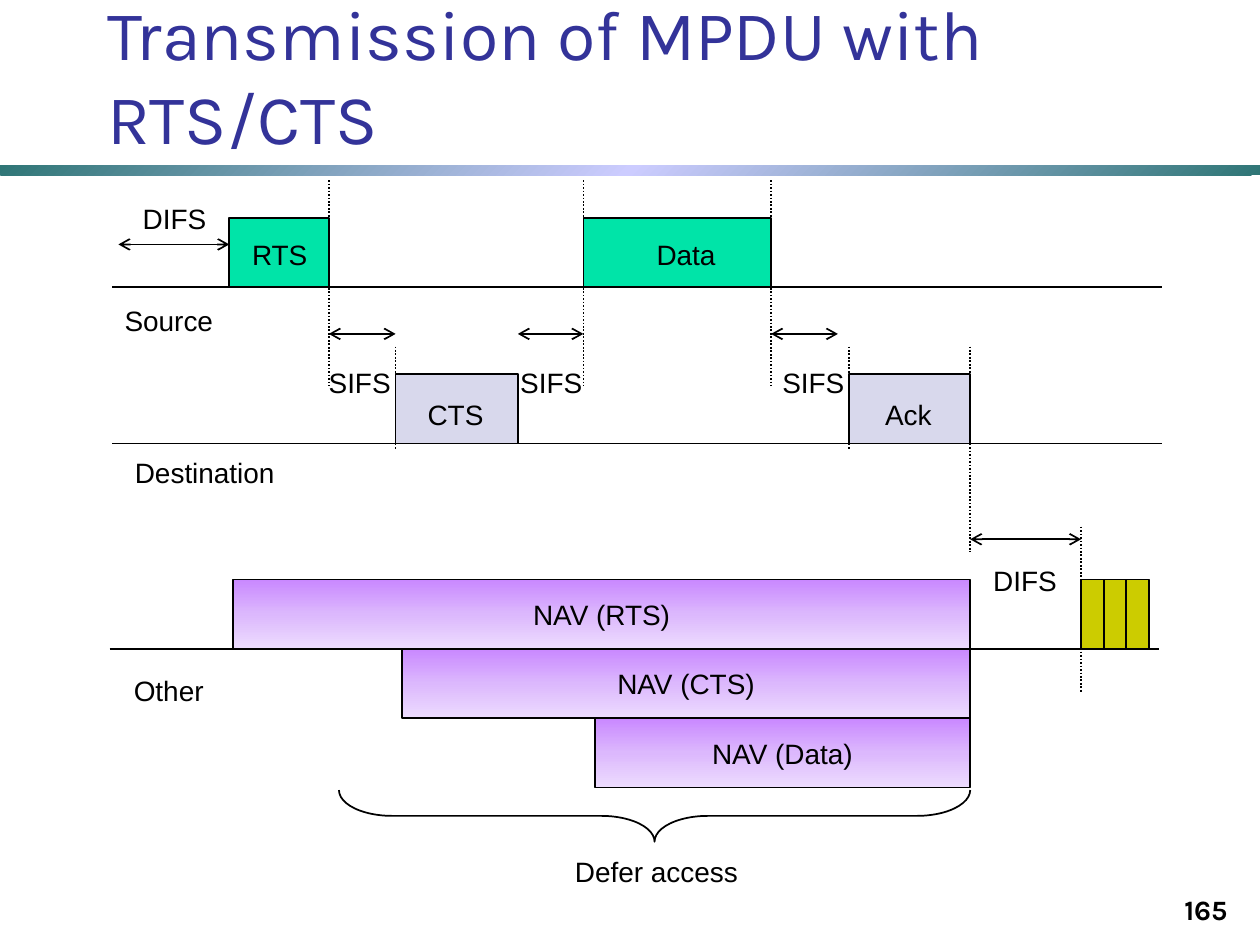
from lxml import etree
from pptx import Presentation
from pptx.dml.color import RGBColor
from pptx.enum.dml import MSO_LINE_DASH_STYLE as Dash
from pptx.enum.shapes import MSO_CONNECTOR as Connector, MSO_SHAPE as Shape
from pptx.enum.text import MSO_ANCHOR as Anchor, MSO_AUTO_SIZE as AutoSize, PP_ALIGN as Align
from pptx.oxml import parse_xml
from pptx.oxml.ns import nsdecls, qn
from pptx.util import Inches, Pt

BLACK = RGBColor(0x00, 0x00, 0x00)
TITLE_BLUE = RGBColor(0x33, 0x33, 0x99)
GREEN = RGBColor(0x00, 0xE4, 0xA8)
LAVENDER = RGBColor(0xD8, 0xD8, 0xEC)
OLIVE = RGBColor(0xCC, 0xCC, 0x00)
TEAL = RGBColor(0x2F, 0x76, 0x76)
PALE_BLUE = RGBColor(0xCC, 0xCC, 0xFF)
NAV_COLOURS = [RGBColor(0xC9, 0x88, 0xFF), RGBColor(0xDC, 0xB8, 0xFD), RGBColor(0xED, 0xDC, 0xFE)]

# Moments on the time axis and the three station lines, in inches
RTS_START, RTS_END = 1.82, 2.61
CTS_START, CTS_END = 3.14, 4.11
DATA_START, DATA_END = 4.63, 6.12
ACK_START, ACK_END = 6.74, 7.7
DIFS_END = 8.58
SOURCE, DESTINATION, OTHER = 2.28, 3.52, 5.15
FRAME_HEIGHT, LABEL_HEIGHT = 0.55, 0.37
SLOT_WIDTH, SLOT_COUNT = 0.18, 3

TITLE = "Transmission of MPDU with RTS/CTS"
PAGE_NUMBER = "165"
STATION_LINES = [(0.89, SOURCE), (0.89, DESTINATION), (0.87, OTHER)]
STATION_LENGTH = 8.33

# Start, end, baseline, colour
FRAMES = [
    (RTS_START, RTS_END, SOURCE, GREEN),
    (DATA_START, DATA_END, SOURCE, GREEN),
    (CTS_START, CTS_END, DESTINATION, LAVENDER),
    (ACK_START, ACK_END, DESTINATION, LAVENDER),
]
NAVS = [("NAV (RTS)", 1.85), ("NAV (CTS)", 3.19), ("NAV (Data)", 4.72)]

# Time, top, bottom
MARKERS = [
    (RTS_END, 1.43, 3.06), (DATA_START, 1.43, 3.06), (DATA_END, 1.43, 3.06),
    (CTS_START, 2.75, 3.56), (ACK_START, 2.75, 3.56),
    (ACK_END, 2.75, 4.38), (DIFS_END, 4.18, 5.5),
]
# Start, end, height on the slide
INTERVALS = [
    (0.94, RTS_START, 1.94), (RTS_END, CTS_START, 2.65), (CTS_END, DATA_START, 2.65),
    (DATA_END, 6.65, 2.65), (ACK_END, DIFS_END, 4.28),
]
# Text, left, top, width
LABELS = [
    ("DIFS", 1.03, 1.55, 0.71), ("RTS", 1.9, 1.83, 0.64), ("Data", 5.11, 1.83, 0.67),
    ("Source", 0.89, 2.36, 0.9), ("SIFS", 2.51, 2.85, 0.69), ("SIFS", 4.03, 2.85, 0.69),
    ("SIFS", 6.11, 2.85, 0.69), ("CTS", 3.22, 3.1, 0.79), ("Ack", 6.91, 3.1, 0.6),
    ("Destination", 0.97, 3.56, 1.31), ("DIFS", 7.78, 4.42, 0.71),
    ("Other", 0.96, 5.29, 0.76), ("Defer access", 4.29, 6.73, 1.84),
]


def write_text(shape, text, size=16, font="Arial", colour=BLACK, bold=False,
               align=Align.CENTER, anchor=Anchor.MIDDLE, wrap=False):
    frame = shape.text_frame
    frame.text = text
    frame.auto_size = AutoSize.NONE
    frame.word_wrap = wrap
    frame.vertical_anchor = anchor
    paragraph = frame.paragraphs[0]
    paragraph.alignment = align
    paragraph.font.size = Pt(size)
    paragraph.font.name = font
    paragraph.font.bold = bold
    paragraph.font.color.rgb = colour


def fill_gradient(shape, colours, angle):
    """Spread the colours evenly along a linear gradient."""
    step = 100000 // (len(colours) - 1)
    stops = "".join(f'<a:gs pos="{index * step}"><a:srgbClr val="{colour}"/></a:gs>'
                    for index, colour in enumerate(colours))
    gradient = parse_xml(f'<a:gradFill {nsdecls("a")}><a:gsLst>{stops}</a:gsLst>'
                         f'<a:lin ang="{angle * 60000}" scaled="0"/></a:gradFill>')
    shape.fill.background()
    properties = shape._element.spPr
    properties.replace(properties.find(qn("a:noFill")), gradient)


def add_box(slide, left, top, width, height, colour=None, kind=Shape.RECTANGLE):
    box = slide.shapes.add_shape(kind, Inches(left), Inches(top), Inches(width), Inches(height))
    box.shadow.inherit = False
    box.line.color.rgb = BLACK
    box.line.width = Pt(1)
    if colour is None:
        box.fill.background()
    else:
        box.fill.solid()
        box.fill.fore_color.rgb = colour
    return box


def add_line(slide, x1, y1, x2, y2, dotted=False, arrows=False):
    line = slide.shapes.add_connector(Connector.STRAIGHT, Inches(x1), Inches(y1),
                                      Inches(x2), Inches(y2))
    line.line.color.rgb = BLACK
    line.line.width = Pt(1)
    if dotted:
        line.line.dash_style = Dash.ROUND_DOT
    if arrows:
        outline = line.line._get_or_add_ln()
        for end in ("a:headEnd", "a:tailEnd"):
            etree.SubElement(outline, qn(end), type="arrow")
    etree.SubElement(line._element.spPr, qn("a:effectLst"))


def add_label(slide, text, left, top, width, height=LABEL_HEIGHT, **text_format):
    label = slide.shapes.add_textbox(Inches(left), Inches(top), Inches(width), Inches(height))
    write_text(label, text, **text_format)


def main():
    presentation = Presentation()
    presentation.slide_width, presentation.slide_height = Inches(10), Inches(7.5)
    slide = presentation.slides.add_slide(presentation.slide_layouts[5])

    # Title, divider and page number
    title = slide.shapes.title
    title.left, title.top, title.width, title.height = map(Inches, (0.75, 0.36, 9.25, 0.95))
    write_text(title, TITLE, size=40, font="Karla", colour=TITLE_BLUE,
               align=Align.LEFT, anchor=Anchor.BOTTOM, wrap=True)
    divider = add_box(slide, 0, 1.31, 10, 0.08)
    fill_gradient(divider, [TEAL, PALE_BLUE, TEAL], 45)
    divider.line.fill.background()
    add_label(slide, PAGE_NUMBER, 7.76, 6.9, 2.08, height=0.5, font="Karla", bold=True,
              align=Align.RIGHT, anchor=Anchor.BOTTOM, wrap=True)

    # Station lines, frames and contention slots
    for left, baseline in STATION_LINES:
        add_line(slide, left, baseline, left + STATION_LENGTH, baseline)
    for start, end, baseline, colour in FRAMES:
        add_box(slide, start, baseline - FRAME_HEIGHT, end - start, FRAME_HEIGHT, colour)
    for slot in range(SLOT_COUNT):
        add_box(slide, DIFS_END + slot * SLOT_WIDTH, OTHER - FRAME_HEIGHT,
                SLOT_WIDTH, FRAME_HEIGHT, OLIVE)

    # NAV bars step down and all end with the Ack
    for row, (text, start) in enumerate(NAVS):
        bar = add_box(slide, start, OTHER + (row - 1) * FRAME_HEIGHT,
                      ACK_END - start, FRAME_HEIGHT)
        fill_gradient(bar, NAV_COLOURS, 90)
        write_text(bar, text)

    # Time markers, intervals and labels
    for time, top, bottom in MARKERS:
        add_line(slide, time, top, time, bottom, dotted=True)
    for start, end, height in INTERVALS:
        add_line(slide, start, height, end, height, arrows=True)
    for label in LABELS:
        add_label(slide, *label)

    # Brace under the deferred period
    brace = add_box(slide, 4.99, 3.97, 0.41, 5.01, kind=Shape.LEFT_BRACE)
    brace.rotation = 270
    brace.adjustments[0] = 1.03

    presentation.save("out.pptx")


if __name__ == "__main__":
    main()
